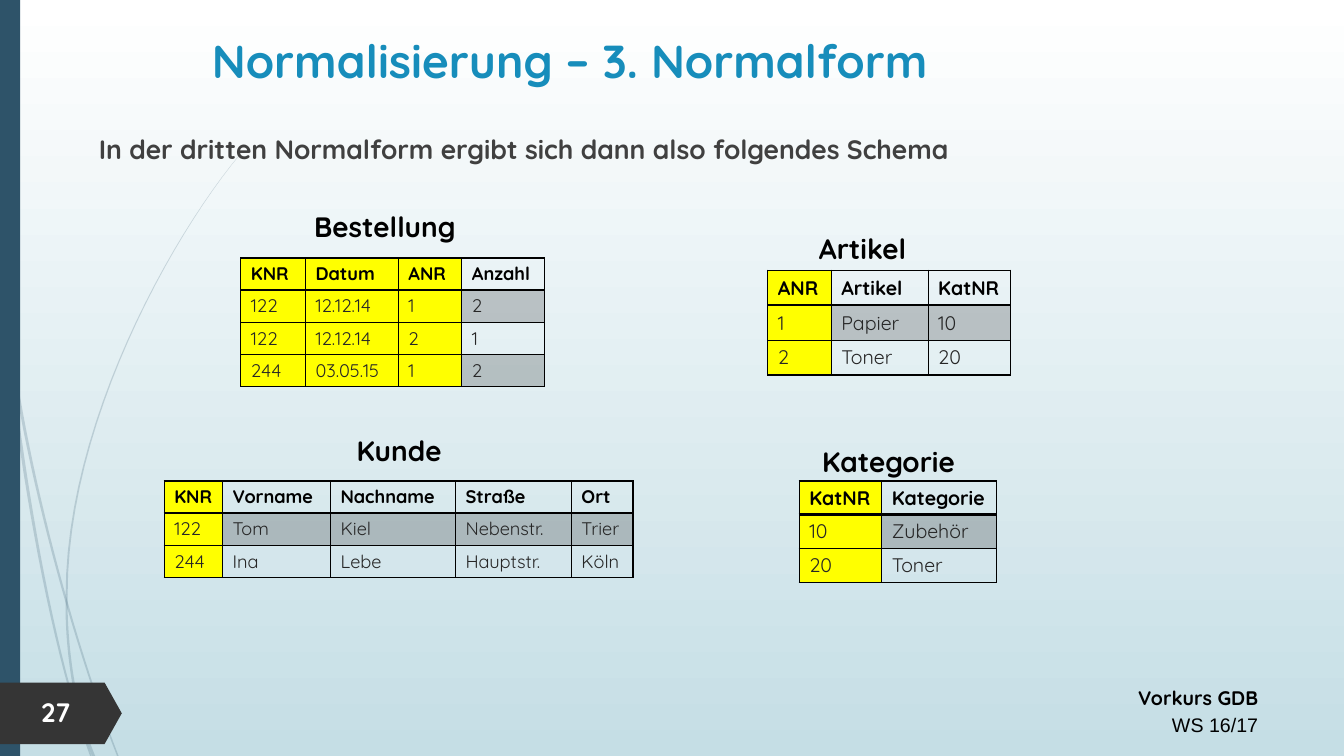
from dataclasses import dataclass

from lxml.etree import SubElement
from pptx import Presentation
from pptx.dml.color import RGBColor
from pptx.dml.fill import FillFormat
from pptx.enum.shapes import MSO_SHAPE
from pptx.enum.text import MSO_ANCHOR, MSO_AUTO_SIZE, PP_ALIGN
from pptx.oxml.ns import qn
from pptx.shapes.autoshape import Shape
from pptx.slide import Slide
from pptx.table import _Cell
from pptx.text.text import TextFrame, _Paragraph
from pptx.util import Cm, Pt


@dataclass(frozen=True)
class Theme:
    font: str = "Quicksand"
    footer_font: str = "Arial"
    title: str = "178DBB"
    body: str = "404040"
    heading: str = "000000"
    value: str = "262626"
    inverse: str = "FFFFFF"
    key: str = "FFFF00"
    accent: str = "2E5369"
    tag: str = "353535"
    sky: tuple[str, str] = ("FFFFFF", "C5DEE5")
    translucent: int = 20
    title_size: float = 33
    heading_size: float = 20
    body_size: float = 19
    footer_size: float = 14


THEME = Theme()
Box = tuple[float, float, float, float]
Point = tuple[float, float]


@dataclass(frozen=True)
class Relation:
    """A database table; its first key_count columns form the key."""
    name: str
    heading_box: Box
    left: float
    top: float
    widths: tuple[float, ...]
    row_height: float
    size: float
    key_count: int
    rows: tuple[tuple[str, ...], ...]


@dataclass(frozen=True)
class Blade:
    """A grass blade along a Bézier curve, its width changing from root to tip, in cm."""
    curve: tuple[Point, Point, Point, Point]
    start_width: float
    end_width: float


RELATIONS = (
    Relation("Artikel", (17.09, 5.72, 9.3, 1.12), 19.35, 6.81, (1.6, 2.44, 2.08), 0.88, 14, 1,
             (("ANR", "Artikel", "KatNR"), ("1", "Papier", "10"), ("2", "Toner", "20"))),
    Relation("Kategorie", (19.81, 11.07, 5.16, 1.12), 20.14, 12.12, (2.08, 2.9), 0.85, 14, 1,
             (("KatNR", "Kategorie"), ("10", "Zubehör"), ("20", "Toner"))),
    Relation("Bestellung", (5.05, 5.16, 9.3, 1.12), 6.07, 6.5, (1.63, 2.34, 1.6, 2.08), 0.81, 13, 3,
             (("KNR", "Datum", "ANR", "Anzahl"), ("122", "12.12.14", "1", "2"),
              ("122", "12.12.14", "2", "1"), ("244", "03.05.15", "1", "2"))),
    Relation("Kunde", (5.41, 10.8, 9.3, 1.12), 4.14, 12.12, (1.47, 2.72, 3.15, 2.92, 1.55), 0.81, 13, 1,
             (("KNR", "Vorname", "Nachname", "Straße", "Ort"),
              ("122", "Tom", "Kiel", "Nebenstr.", "Trier"),
              ("244", "Ina", "Lebe", "Hauptstr.", "Köln"))),
)

BLADES = (
    Blade(((0.05, 7.29), (0.43, 11.18), (1.19, 16.05), (2.29, 19.05)), 0.1, 0.04),
    Blade(((0.29, 8.84), (0.69, 11.81), (1.78, 16), (2.97, 19.05)), 0.08, 0.04),
    Blade(((6.05, 3.89), (4.32, 5.97), (1.68, 10.67), (1.68, 14.99)), 0.01, 0.05),
    Blade(((1.68, 14.99), (1.65, 16.26), (1.88, 17.91), (2.36, 19.05)), 0.05, 0.08),
)


def fill_solid(fill: FillFormat, color: str, opacity: int = 100) -> None:
    fill.solid()
    fill.fore_color.rgb = RGBColor.from_string(color)
    if opacity < 100:
        srgb = fill._xPr.find(f"{qn('a:solidFill')}/{qn('a:srgbClr')}")
        SubElement(srgb, qn("a:alpha"), val=str(opacity * 1000))


def finish_shape(shape: Shape, color: str, opacity: int = 100) -> None:
    shape.shadow.inherit = False
    shape.line.fill.background()
    fill_solid(shape.fill, color, opacity)


def draw_blade(slide: Slide, blade: Blade, steps: int = 24) -> None:
    left_edge: list[Point] = []
    right_edge: list[Point] = []
    for step in range(steps + 1):
        t = step / steps
        weights = ((1 - t) ** 3, 3 * t * (1 - t) ** 2, 3 * t * t * (1 - t), t ** 3)
        x, y = (sum(w * value for w, value in zip(weights, axis)) for axis in zip(*blade.curve))
        half = (blade.start_width + (blade.end_width - blade.start_width) * t) / 2
        left_edge.append((Cm(x - half), Cm(y)))
        right_edge.append((Cm(x + half), Cm(y)))
    builder = slide.shapes.build_freeform(*left_edge[0])
    builder.add_line_segments(left_edge[1:] + right_edge[::-1], close=True)
    finish_shape(builder.convert_to_shape(), THEME.accent, THEME.translucent)


def style_text(paragraph: _Paragraph, size: float, color: str, bold: bool = True,
               align: PP_ALIGN = PP_ALIGN.LEFT, font: str = THEME.font) -> None:
    paragraph.alignment = align
    paragraph.font.name = font
    paragraph.font.size = Pt(size)
    paragraph.font.bold = bold
    paragraph.font.color.rgb = RGBColor.from_string(color)


def add_text(slide: Slide, box: Box, text: str) -> TextFrame:
    frame = slide.shapes.add_textbox(*map(Cm, box)).text_frame
    frame.word_wrap = True
    frame.text = text
    return frame


def set_borders(cell: _Cell, bottom: float) -> None:
    properties = cell._tc.get_or_add_tcPr()
    for i, (side, width) in enumerate((("L", 1), ("R", 1), ("T", 1), ("B", bottom))):
        line = properties.makeelement(qn(f"a:ln{side}"), {"w": str(Pt(width))})
        SubElement(SubElement(line, qn("a:solidFill")), qn("a:srgbClr"), val=THEME.heading)
        properties.insert(i, line)


def draw_relation(slide: Slide, relation: Relation) -> None:
    heading = add_text(slide, relation.heading_box, relation.name)
    style_text(heading.paragraphs[0], THEME.heading_size, THEME.heading, align=PP_ALIGN.CENTER)
    count = len(relation.rows)
    table = slide.shapes.add_table(
        count, len(relation.widths), Cm(relation.left), Cm(relation.top),
        Cm(sum(relation.widths)), Cm(relation.row_height * count)).table
    table.first_row = table.horz_banding = False
    for column, width in zip(table.columns, relation.widths):
        column.width = Cm(width)
    for r, values in enumerate(relation.rows):
        table.rows[r].height = Cm(relation.row_height)
        for c, value in enumerate(values):
            cell = table.cell(r, c)
            cell.text = value
            cell.vertical_anchor = MSO_ANCHOR.MIDDLE
            cell.margin_top = cell.margin_bottom = Cm(0.1)
            style_text(cell.text_frame.paragraphs[0], relation.size,
                       THEME.value if r else THEME.heading, bold=r == 0)
            if c < relation.key_count:
                fill_solid(cell.fill, THEME.key)
            elif r % 2:
                fill_solid(cell.fill, THEME.heading, THEME.translucent)
            else:
                cell.fill.background()
            set_borders(cell, 1 if r else 2)


def draw_backdrop(slide: Slide) -> None:
    sky = slide.background.fill
    sky.gradient()
    sky.gradient_angle = 270
    for stop, color in zip(sky.gradient_stops, THEME.sky):
        stop.color.rgb = RGBColor.from_string(color)
    for blade in BLADES:
        draw_blade(slide, blade)
    bar = slide.shapes.add_shape(MSO_SHAPE.RECTANGLE, 0, 0, Cm(0.51), Cm(19.05))
    finish_shape(bar, THEME.accent)
    tag = slide.shapes.add_shape(MSO_SHAPE.PENTAGON, 0, Cm(17.2), Cm(3.07), Cm(1.55))
    tag.adjustments[0] = 0.28
    finish_shape(tag, THEME.tag)
    number = add_text(slide, (0.79, 17.42, 1.78, 1.07), "27")
    style_text(number.paragraphs[0], THEME.body_size, THEME.inverse)
    footer = add_text(slide, (18.75, 17.07, 13.21, 1.63), "Vorkurs GDB\nWS 16/17")
    course, term = footer.paragraphs
    style_text(course, THEME.footer_size, THEME.heading, align=PP_ALIGN.RIGHT)
    style_text(term, THEME.footer_size, THEME.heading, False, PP_ALIGN.RIGHT, THEME.footer_font)
    course.line_spacing = term.line_spacing = 1.14


def main() -> None:
    deck = Presentation()
    deck.slide_width, deck.slide_height = Cm(33.87), Cm(19.05)
    slide = deck.slides.add_slide(deck.slide_layouts[5])
    draw_backdrop(slide)
    title = slide.shapes.title
    title.left, title.top, title.width, title.height = map(Cm, (2.97, 0.69, 22.78, 2.06))
    title.text_frame.text = "Normalisierung – 3. Normalform"
    title.text_frame.vertical_anchor = MSO_ANCHOR.TOP
    title.text_frame.auto_size = MSO_AUTO_SIZE.NONE
    style_text(title.text_frame.paragraphs[0], THEME.title_size, THEME.title, align=PP_ALIGN.CENTER)
    intro = add_text(slide, (2.24, 3.07, 29.97, 1.55),
                     "In der dritten Normalform ergibt sich dann also folgendes Schema").paragraphs[0]
    intro.line_spacing = 1.2
    style_text(intro, THEME.body_size, THEME.body)
    for relation in RELATIONS:
        draw_relation(slide, relation)
    deck.save("out.pptx")


if __name__ == "__main__":
    main()
